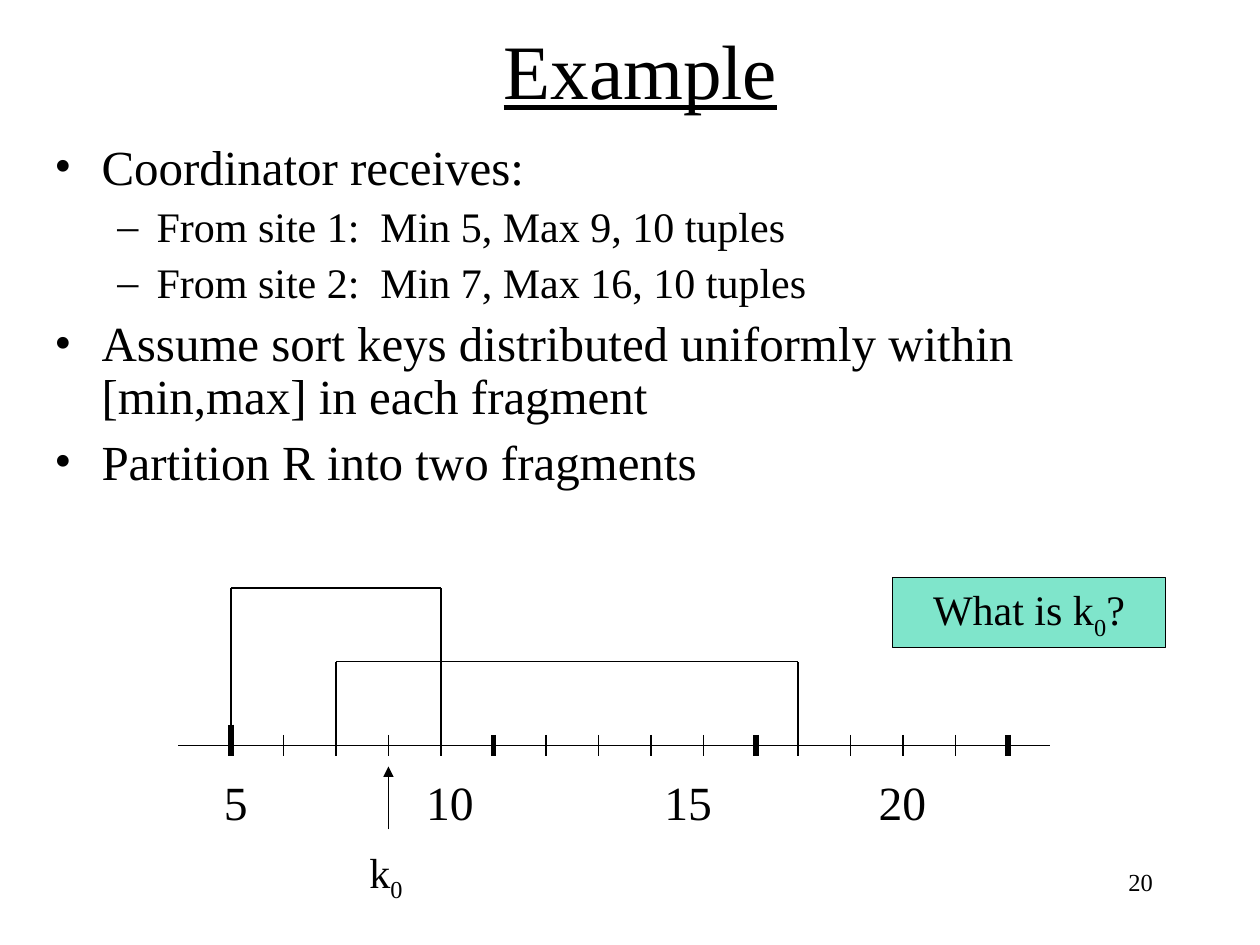
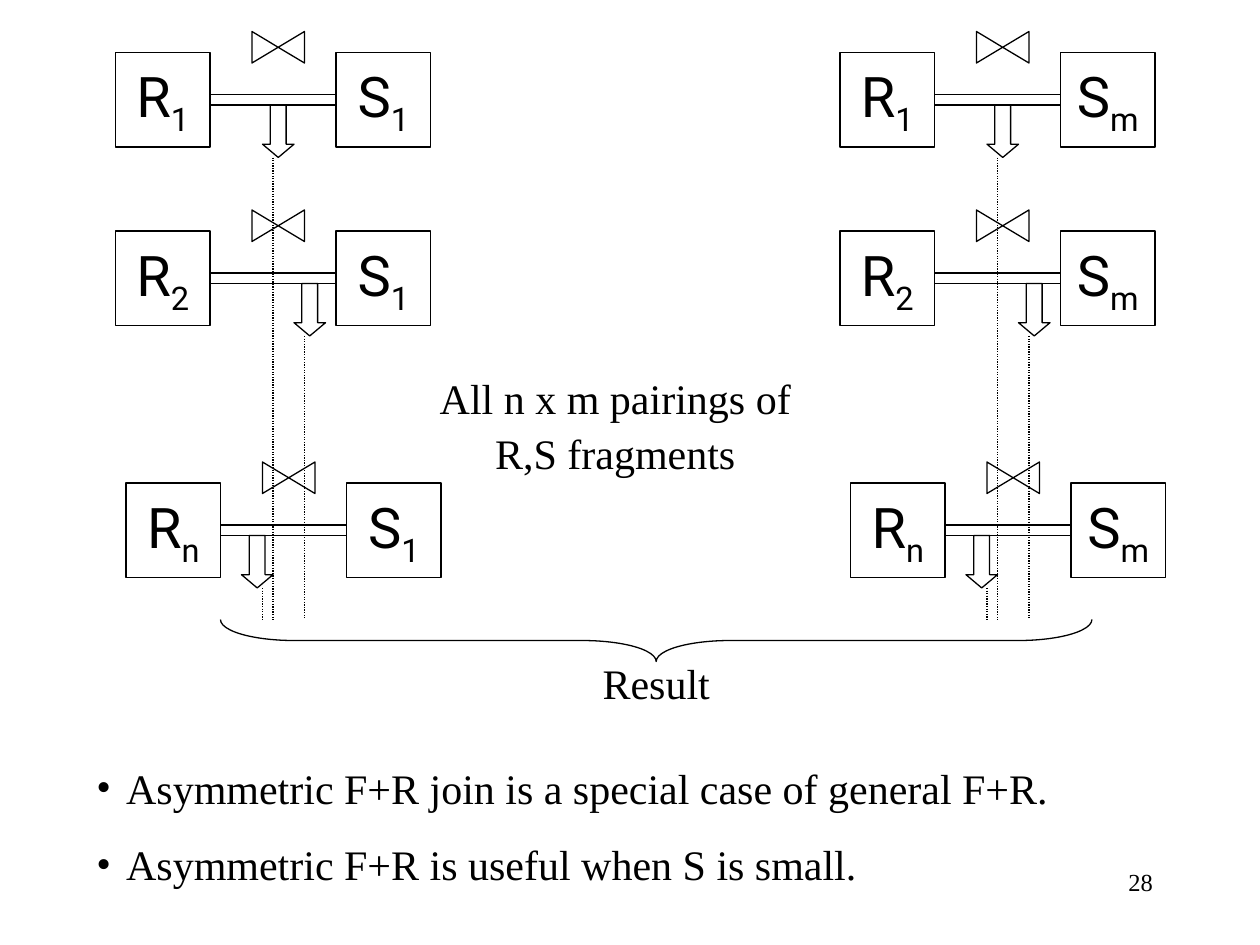
from lxml import etree
from pptx import Presentation
from pptx import util as u
from pptx.dml import color
from pptx.enum import dml, shapes, text
from pptx.oxml import ns

BLACK, WHITE, MINT = "000000", "FFFFFF", "00CC99"
SERIF, SANS = "Times New Roman", "Roboto"
GRID_CM = 2.54 / 12
LEFT, CENTER, RIGHT = text.PP_ALIGN.LEFT, text.PP_ALIGN.CENTER, text.PP_ALIGN.RIGHT
TOP, MIDDLE = text.MSO_ANCHOR.TOP, text.MSO_ANCHOR.MIDDLE
SHAPE = shapes.MSO_SHAPE


def rgb(value):
    return color.RGBColor.from_string(value)


def grid(*cells):
    return [u.Cm(cell * GRID_CM) for cell in cells]


def add_xml(parent, tag, **attributes):
    return etree.SubElement(parent, ns.qn(tag), attributes)


def add_run(paragraph, words, size, font=SERIF, subscript=False, underline=None):
    run = paragraph.add_run()
    run.text = words
    run.font.size = u.Pt(size)
    run.font.name = font
    run.font.color.rgb = rgb(BLACK)
    run.font.underline = underline
    if subscript:
        run._r.get_or_add_rPr().set("baseline", "-25000")


def prepare_frame(shape, anchor=TOP, wrap=True):
    frame = shape.text_frame
    frame.word_wrap = wrap
    frame.auto_size = text.MSO_AUTO_SIZE.NONE
    frame.vertical_anchor = anchor
    return frame


def format_paragraph(paragraph, align=LEFT, before=0, spacing=None):
    paragraph.alignment = align
    paragraph.space_before = u.Pt(before)
    paragraph.line_spacing = spacing
    return paragraph


def add_text(slide, box, align=LEFT, anchor=TOP, wrap=True):
    frame = prepare_frame(slide.shapes.add_textbox(*grid(*box)), anchor, wrap)
    return format_paragraph(frame.paragraphs[0], align)


def add_subscripted(paragraph, base, index, size, font=SERIF):
    add_run(paragraph, base, size, font)
    add_run(paragraph, index, size, font, subscript=True)


def add_bullet(paragraph, mark, margin, hanging):
    properties = paragraph._p.get_or_add_pPr()
    properties.set("marL", str(u.Cm(margin)))
    properties.set("indent", str(-u.Cm(hanging)))
    add_xml(add_xml(properties, "a:buClr"), "a:srgbClr", val=BLACK)
    add_xml(properties, "a:buFont", typeface=SERIF)
    add_xml(properties, "a:buChar", char=mark)


def add_outlined(slide, preset, box, fill=WHITE):
    shape = slide.shapes.add_shape(preset, *grid(*box))
    shape.shadow.inherit = False
    shape.line.color.rgb = rgb(BLACK)
    shape.line.width = u.Pt(0.75)
    if fill:
        shape.fill.solid()
        shape.fill.fore_color.rgb = rgb(fill)
    else:
        shape.fill.background()
    return shape


def add_line(slide, x1, y1, x2, y2, width=0.75, dash=None, arrow=False):
    line = slide.shapes.add_connector(shapes.MSO_CONNECTOR.STRAIGHT, *grid(x1, y1, x2, y2))
    line.line.color.rgb = rgb(BLACK)
    line.line.width = u.Pt(width)
    if dash:
        line.line.dash_style = dash
    if arrow:
        add_xml(line.line._get_or_add_ln(), "a:tailEnd", type="triangle")
    add_xml(line._element.spPr, "a:effectLst")


def add_page_number(slide, number):
    add_run(add_text(slide, (86, 82, 25, 6), RIGHT), number, 14)


def add_title(slide, box, words):
    title = slide.shapes.title
    title.left, title.top, title.width, title.height = grid(*box)
    frame = prepare_frame(title, MIDDLE)
    add_run(format_paragraph(frame.paragraphs[0], CENTER), words, 44, underline=True)


def add_outline(slide, box, items):
    styles = [(28, 7, "•", 0.95, 0.95), (24, 6, "–", 2.06, 0.79)]
    paragraph = add_text(slide, box)
    frame = slide.shapes[-1].text_frame
    for number, (level, words) in enumerate(items):
        size, before, mark, margin, hanging = styles[level]
        if number:
            paragraph = frame.add_paragraph()
        format_paragraph(paragraph, before=before, spacing=0.9)
        paragraph.level = level
        add_bullet(paragraph, mark, margin, hanging)
        add_run(paragraph, words, size)


def add_key_axis(slide, left, top):
    axis = top + 15
    labels = add_text(slide, (left + 2, axis + 2, 83, 7))
    tabs = add_xml(labels._p.get_or_add_pPr(), "a:tabLst")
    for stop in (0.48, 4.8, 9.6, 13.92):
        add_xml(tabs, "a:tab", pos=str(u.Cm(stop)), algn="ctr")
    add_run(labels, "\t5\t10\t15\t20", 27.2)

    add_line(slide, left, axis, left + 83, axis)
    for major, rise in ((5, 2), (30, 1), (55, 1), (79, 1)):
        add_line(slide, left + major, axis - rise, left + major, axis + 1, 3)
    for start in (5, 30, 54):
        for step in range(1, 5):
            minor = left + start + 5 * step
            add_line(slide, minor, axis - 1, minor, axis + 1)

    for low, high, height, foot in ((5, 25, 15, 1), (15, 59, 8, 0)):
        x1, x2, roof = left + low, left + high, axis - height
        add_line(slide, x1, roof, x2, roof, 1)
        for side in (x1, x2):
            add_line(slide, side, axis - foot, side, roof, 1)

    add_line(slide, left + 20, axis + 8, left + 20, axis + 2, arrow=True)
    add_subscripted(add_text(slide, (left + 17, axis + 9, 6, 6.7)), "k", "0", 24)


def add_question(slide, box):
    question = add_outlined(slide, SHAPE.RECTANGLE, box, MINT)
    tint = question.fill._xPr.find(".//" + ns.qn("a:srgbClr"))
    add_xml(tint, "a:alpha", val="50000")
    paragraph = format_paragraph(prepare_frame(question).paragraphs[0], CENTER, 15)
    add_subscripted(paragraph, "What is k", "0", 24)
    add_run(paragraph, "?", 24)


def add_fragment(slide, left, top, relation, index):
    fragment = add_outlined(slide, SHAPE.RECTANGLE, (left, top, 9, 9))
    frame = prepare_frame(fragment, MIDDLE, False)
    add_subscripted(format_paragraph(frame.paragraphs[0], CENTER), relation, index, 32, SANS)


def add_join(slide, left, top, r_index, s_index, arrow_x):
    add_fragment(slide, left, top, "R", r_index)
    add_fragment(slide, left + 21, top, "S", s_index)
    arrow = add_outlined(slide, SHAPE.DOWN_ARROW, (arrow_x, top + 5, 3, 5))
    arrow.adjustments[1] = 0.42
    for drop in (5, 4):
        add_line(slide, left + 9, top + drop, left + 21, top + drop)
    bowtie = add_outlined(slide, SHAPE.FLOWCHART_COLLATE, (left + 14, top - 3, 3, 5))
    bowtie.rotation = 270


def add_join_column(slide, left, top, s_index):
    joins = [("1", 0, 0, 14, 15), ("2", 17, 0, 17, 18), ("n", 41, 1, 12, 14)]
    for r_index, drop, shift, arrow, _ in joins:
        add_join(slide, left + shift, top + drop, r_index, s_index, left + arrow)
    for _, drop, _, _, rail in joins:
        add_line(slide, left + rail, top + drop + 10, left + rail, top + 54,
                 dash=dml.MSO_LINE.ROUND_DOT)


def add_result(slide, left, top, width, depth):
    middle = left + width / 2
    brace = add_outlined(slide, SHAPE.LEFT_BRACE,
                         (middle - depth / 2, top + depth / 2 - width / 2, depth, width), None)
    brace.adjustments[0] = 1.75
    brace.rotation = 270
    label = add_text(slide, (middle - 6.3, top + 3, 12.6, 6), CENTER, MIDDLE, False)
    add_run(format_paragraph(label, CENTER, 15), "Result", 24)


def add_pairings_note(slide, box):
    first = add_text(slide, box, CENTER, MIDDLE, False)
    add_run(format_paragraph(first, CENTER, 15), "All n x m pairings of", 24)
    second = slide.shapes[-1].text_frame.add_paragraph()
    add_run(format_paragraph(second, CENTER, 15, 0.5), "R,S fragments", 24)


def add_remarks(slide, box, remarks):
    paragraph = add_text(slide, box)
    frame = slide.shapes[-1].text_frame
    for number, remark in enumerate(remarks):
        if number:
            paragraph = frame.add_paragraph()
        format_paragraph(paragraph, before=15)
        add_bullet(paragraph, "•", 0.6, 0.6)
        add_run(paragraph, remark, 24)


def build_example(deck):
    slide = deck.slides.add_slide(deck.slide_layouts[5])
    add_title(slide, (10, 2, 102, 9), "Example")
    add_outline(slide, (4, 13, 110, 36), [
        (0, "Coordinator receives:"),
        (1, "From site 1:  Min 5, Max 9, 10 tuples"),
        (1, "From site 2:  Min 7, Max 16, 10 tuples"),
        (0, "Assume sort keys distributed uniformly within [min,max] in each fragment"),
        (0, "Partition R into two fragments"),
    ])
    add_key_axis(slide, 17, 56)
    add_question(slide, (85, 55, 26, 6.7))
    add_page_number(slide, "20")


def build_pairings(deck):
    slide = deck.slides.add_slide(deck.slide_layouts[6])
    add_pairings_note(slide, (40.7, 34.9, 35.8, 10.9))
    for left, s_index in ((11, "1"), (80, "m")):
        add_join_column(slide, left, 5, s_index)
    add_result(slide, 21, 59, 83, 4)
    add_remarks(slide, (8, 72, 106, 13.3), [
        "Asymmetric F+R join is a special case of general F+R.",
        "Asymmetric F+R is useful when S is small.",
    ])
    add_page_number(slide, "28")


def main():
    deck = Presentation()
    deck.slide_width, deck.slide_height = u.Cm(25.4), u.Cm(19.05)
    build_example(deck)
    build_pairings(deck)
    deck.save("out.pptx")


if __name__ == "__main__":
    main()
